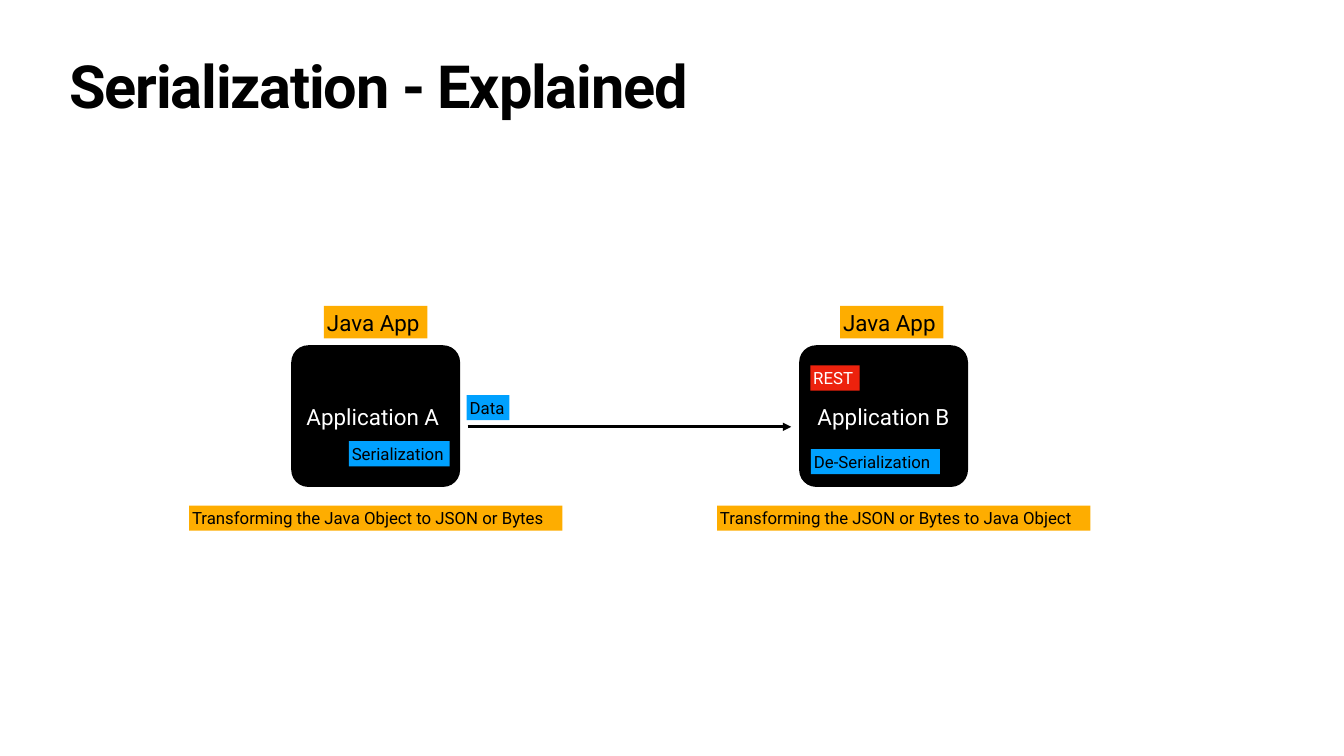
from dataclasses import dataclass

from lxml.etree import SubElement
from pptx import Presentation
from pptx.dml.color import RGBColor as Color
from pptx.enum.shapes import MSO_CONNECTOR as Connector, MSO_SHAPE as Shape
from pptx.enum.text import MSO_ANCHOR as Anchor, PP_ALIGN as Align
from pptx.oxml.ns import qn
from pptx.slide import Slide
from pptx.text.text import TextFrame
from pptx.util import Cm, Pt


@dataclass(frozen=True)
class Theme:
    """Colours, type sizes and text inset of the slide."""
    font: str = "Roboto"
    black: Color = Color.from_string("000000")
    white: Color = Color.from_string("FFFFFF")
    red: Color = Color.from_string("ED220D")
    blue: Color = Color.from_string("00A1FF")
    amber: Color = Color.from_string("FEAD00")
    title: int = 85
    large: int = 32
    small: int = 24
    inset: float = 0.15


THEME = Theme()


@dataclass(frozen=True)
class Box:
    """A filled box with one line of text, measured in centimetres."""
    text: str
    left: float
    top: float
    width: float
    height: float
    fill: Color
    ink: Color = THEME.black
    size: int = THEME.small
    shape: Shape = Shape.RECTANGLE
    align: Align = Align.LEFT


def application(text: str, left: float) -> Box:
    """Describe one rounded application box."""
    return Box(text, left, 17.4, 8.51, 7.14, THEME.black, THEME.white,
               THEME.large, Shape.ROUNDED_RECTANGLE, Align.CENTER)


def platform(left: float) -> Box:
    """Describe the platform tag above an application."""
    return Box("Java App", left, 15.42, 5.21, 1.63, THEME.amber, size=THEME.large)


def caption(text: str, left: float) -> Box:
    """Describe the explanation below an application."""
    return Box(text, left, 25.48, 18.82, 1.27, THEME.amber)


BOXES = (
    application("Application A ", 14.68),
    application("Application B", 40.28),
    Box("REST", 40.84, 18.42, 2.49, 1.27, THEME.red, THEME.white),
    Box("Serialization", 17.58, 22.23, 5.08, 1.27, THEME.blue),
    platform(16.33),
    platform(42.34),
    caption("Transforming the Java Object to JSON or Bytes", 9.53),
    Box("Data", 23.52, 19.91, 2.16, 1.27, THEME.blue),
    Box("De-Serialization", 40.87, 22.63, 6.5, 1.27, THEME.blue),
    caption("Transforming the JSON or Bytes to Java Object", 36.14),
)


def write(frame: TextFrame, text: str, size: int, ink: Color, align: Align, anchor: Anchor):
    """Set one paragraph in a text frame and return it."""
    frame.word_wrap = True
    frame.vertical_anchor = anchor
    frame.margin_left = frame.margin_right = Cm(THEME.inset)
    frame.margin_top = frame.margin_bottom = Cm(THEME.inset)
    para = frame.paragraphs[0]
    para.text = text
    para.alignment = align
    para.font.name = THEME.font
    para.font.size = Pt(size)
    para.font.color.rgb = ink
    return para


def draw_title(page: Slide, text: str) -> None:
    """Draw the bold, tightly spaced title."""
    holder = page.shapes.add_textbox(Cm(3.35), Cm(3), Cm(61.04), Cm(3.99))
    para = write(holder.text_frame, text, THEME.title, THEME.black, Align.LEFT, Anchor.TOP)
    para.font.bold = True
    para.line_spacing = 0.8
    for span in para.runs:
        span.font._element.set("spc", "-170")


def draw_box(page: Slide, box: Box) -> None:
    """Draw one filled box and its text."""
    shape = page.shapes.add_shape(box.shape, Cm(box.left), Cm(box.top), Cm(box.width), Cm(box.height))
    if box.shape == Shape.ROUNDED_RECTANGLE:
        shape.adjustments[0] = 0.12
    shape.shadow.inherit = False
    shape.fill.solid()
    shape.fill.fore_color.rgb = box.fill
    shape.line.fill.background()
    write(shape.text_frame, box.text, box.size, box.ink, box.align, Anchor.MIDDLE)


def draw_arrow(page: Slide, start: float, end: float, top: float) -> None:
    """Draw a horizontal arrow pointing at its end."""
    arrow = page.shapes.add_connector(Connector.STRAIGHT, Cm(start), Cm(top), Cm(end), Cm(top))
    arrow.line.color.rgb = THEME.black
    arrow.line.width = Pt(4)
    SubElement(arrow.line._get_or_add_ln(), qn("a:tailEnd"), type="triangle")
    SubElement(arrow._element.spPr, qn("a:effectLst"))


def main() -> None:
    """Build and save the deck."""
    deck = Presentation()
    deck.slide_width, deck.slide_height = Cm(67.74), Cm(38.1)
    page = deck.slides.add_slide(deck.slide_layouts[6])
    draw_title(page, "Serialization - Explained")
    for box in BOXES:
        draw_box(page, box)
    draw_arrow(page, 23.57, 39.88, 21.51)
    deck.save("out.pptx")


if __name__ == "__main__":
    main()
